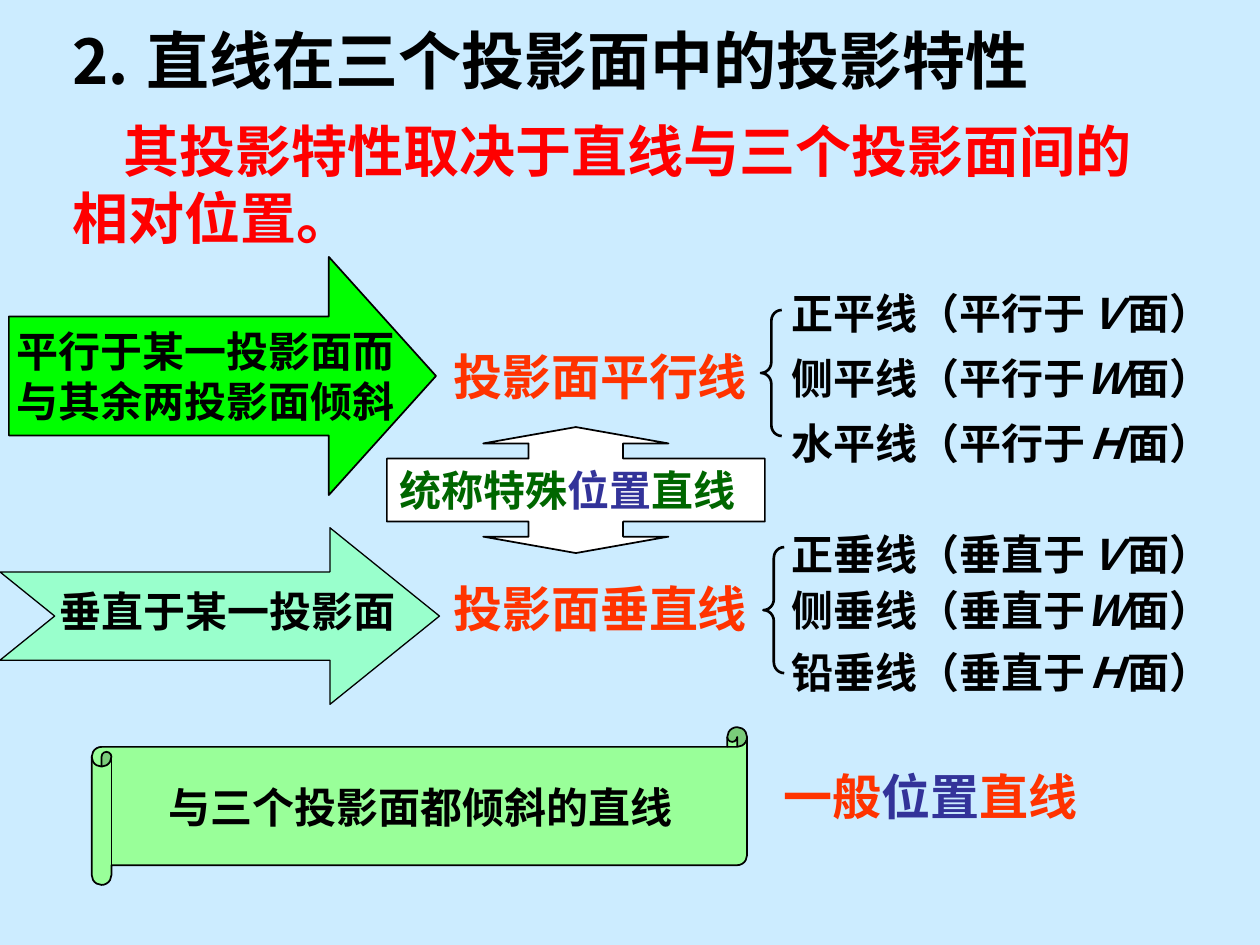
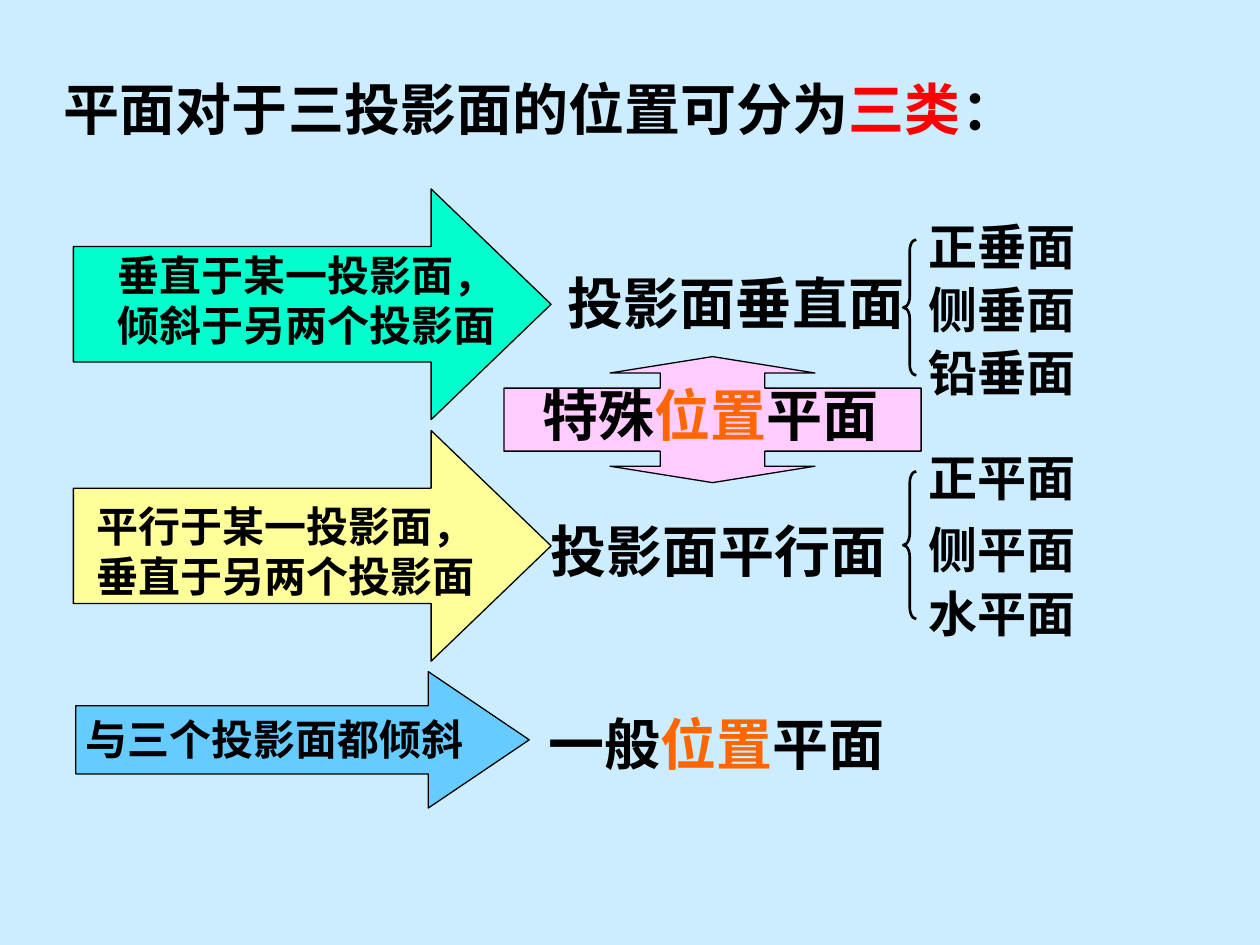
import pptx
import pptx.dml.color
import pptx.enum.shapes
import pptx.enum.text
import pptx.oxml.ns
import pptx.util
from dataclasses import dataclass
from lxml import etree

Cm = pptx.util.Cm
Preset = pptx.enum.shapes.MSO_SHAPE
Align = pptx.enum.text.PP_ALIGN


@dataclass(frozen=True)
class Theme:
    background: str = "CCECFF"
    ink: str = "000000"
    red: str = "FF0000"
    vermilion: str = "FF3300"
    orange: str = "FF6600"
    indigo: str = "333399"
    forest: str = "006600"
    scroll: str = "99FF99"
    white: str = "FFFFFF"
    latin: str = "Times New Roman"
    cjk: str = "Noto Sans CJK SC"
    title: int = 36
    large: int = 32
    medium: int = 28
    body: int = 24


THEME = Theme()


def rgb(value):
    return pptx.dml.color.RGBColor.from_string(value)


def add_slide(deck):
    slide = deck.slides.add_slide(deck.slide_layouts[6])
    slide.background.fill.solid()
    slide.background.fill.fore_color.rgb = rgb(THEME.background)
    return slide


def add_run(paragraph, words, size, colour=THEME.ink, italic=False, font=THEME.latin):
    run = paragraph.add_run()
    run.text = words
    run.font.size = pptx.util.Pt(size)
    run.font.bold = True
    run.font.italic = italic
    run.font.color.rgb = rgb(colour)
    run.font.name = font
    east_asian = etree.SubElement(run.font._element, pptx.oxml.ns.qn("a:ea"))
    east_asian.set("typeface", THEME.cjk)


def fill_frame(frame, size, lines, align=Align.LEFT, font=THEME.latin):
    """Write lines; each is a list of (words, colour, italic) runs."""
    frame.word_wrap = True
    frame.vertical_anchor = pptx.enum.text.MSO_ANCHOR.MIDDLE
    for index, runs in enumerate(lines):
        paragraph = frame.add_paragraph() if index else frame.paragraphs[0]
        paragraph.alignment = align
        for run in runs:
            add_run(paragraph, run[0], size, *run[1:], font=font)


def add_text(slide, left, top, width, size, *lines, rows=None, **style):
    """Add a text box whose height follows from its type size and row count."""
    height = 0.25 + size * 0.0425 * (rows or len(lines))
    box = slide.shapes.add_textbox(Cm(left), Cm(top), Cm(width), Cm(height))
    fill_frame(box.text_frame, size, lines, **style)
    return box


def add_preset(slide, preset, left, top, width, height, adjustments, fill, weight=0.75):
    shape = slide.shapes.add_shape(preset, Cm(left), Cm(top), Cm(width), Cm(height))
    for index, value in enumerate(adjustments):
        shape.adjustments[index] = value
    shape.shadow.inherit = False
    if fill:
        shape.fill.solid()
        shape.fill.fore_color.rgb = rgb(fill)
    else:
        shape.fill.background()
    shape.line.color.rgb = rgb(THEME.ink)
    shape.line.width = pptx.util.Pt(weight)
    return shape


def add_brace(slide, left, top, width, height, curl):
    add_preset(slide, Preset.LEFT_BRACE, left, top, width, height, (curl, 0.5), None, 1.5)


def add_link_callout(slide, left, top, width, shaft, fill, weight):
    """Add the up-down callout that ties two special classes together."""
    return add_preset(slide, Preset.UP_DOWN_ARROW_CALLOUT, left, top, width, 2.54,
                      (shaft, shaft * 0.98, 0.13, 0.5), fill, weight)


def build_lines_slide(deck):
    slide = add_slide(deck)
    add_text(slide, 1.14, 0.3, 20.5, THEME.title,
             [("⒉ 直线在三个投影面中的投影特性",)], font=THEME.cjk)
    lead = add_text(slide, 1.22, 2.21, 22.15, THEME.large,
                    [("其投影特性取决于直线与三个投影面间的相对位置。", THEME.red)], rows=2)
    lead.text_frame.paragraphs[0]._p.get_or_add_pPr().set("indent", str(Cm(1.02)))

    # Conditions
    add_preset(slide, Preset.RIGHT_ARROW, 0.18, 5.18, 8.61, 4.8, (0.5, 0.45), "00FF00", 1)
    add_text(slide, 0, 6.43, 8.28, THEME.body, [("平行于某一投影面而",)],
             [("与其余两投影面倾斜",)], align=Align.CENTER)
    add_preset(slide, Preset.NOTCHED_RIGHT_ARROW, 0, 10.64, 8.86, 3.56, (0.5, 0.62), "99FFCC")
    add_text(slide, 0.92, 11.68, 7.35, THEME.body, [("垂直于某一投影面",)],
             align=Align.CENTER)
    add_preset(slide, Preset.HORIZONTAL_SCROLL, 1.85, 14.66, 13.21, 3.18, (0.125,),
               THEME.scroll, 1)
    add_text(slide, 3.15, 15.62, 10.8, THEME.body, [("与三个投影面都倾斜的直线",)])

    # Classes
    for top, name in ((6.86, "投影面平行线"), (11.54, "投影面垂直线")):
        add_text(slide, 8.89, top, 6.6, THEME.medium, [(name, THEME.vermilion)])
    add_text(slide, 15.55, 15.32, 8, THEME.medium,
             [("一般", THEME.vermilion), ("位置", THEME.indigo), ("直线", THEME.vermilion)])

    # Link between the two special classes
    link = add_link_callout(slide, 7.8, 8.61, 7.62, 0.75, THEME.white, 1)
    fill_frame(link.text_frame, THEME.body,
               [[("统称特殊", THEME.forest), ("位置", THEME.indigo), ("直线", THEME.forest)]])

    # Members of each class
    members = (
        ("平行于", (("正平线", "Ｖ", 5.67), ("侧平线", "Ｗ", 6.98), ("水平线", "Ｈ", 8.28))),
        ("垂直于", (("正垂线", "Ｖ", 10.52), ("侧垂线", "Ｗ", 11.66), ("铅垂线", "Ｈ", 12.9))),
    )
    for relation, rows in members:
        for name, plane, top in rows:
            add_text(slide, 15.7, top, 9.1, THEME.body,
                     [(f"{name}（{relation}",), (plane, THEME.ink, True), ("面）",)])
    add_brace(slide, 15.34, 6.25, 0.42, 2.54, 0.52)
    add_brace(slide, 15.39, 11.03, 0.42, 2.54, 0.52)


def build_planes_slide(deck):
    slide = add_slide(deck)
    add_text(slide, 1.04, 1.37, 20.93, THEME.large,
             [("平面对于三投影面的位置可分为",), ("三类", THEME.red), ("：",)], font=THEME.cjk)

    # Conditions
    for top, fill in ((3.81, "00FFCC"), (8.68, "FFFF99")):
        add_preset(slide, Preset.RIGHT_ARROW, 1.48, top, 9.63, 4.65, (0.5, 0.52), fill)
    add_preset(slide, Preset.RIGHT_ARROW, 1.53, 13.54, 9.14, 2.75, (0.5, 0.74), "66CCFF")
    add_text(slide, 1.91, 4.9, 8.53, THEME.body,
             [("垂直于某一投影面，倾斜于另两个投影面",)], rows=2, align=Align.CENTER)
    add_text(slide, 1.7, 9.96, 9.86, THEME.body,
             [("平行于某一投影面，",)], [("垂直于另两个投影面",)])
    add_text(slide, 1.47, 14.25, 8.41, THEME.body, [("与三个投影面都倾斜",)])

    # Classes
    add_text(slide, 11.2, 5.28, 7.4, THEME.large, [("投影面垂直面",)])
    add_text(slide, 10.85, 10.29, 7.5, THEME.large, [("投影面平行面",)])
    add_text(slide, 10.8, 14.17, 7.8, THEME.large,
             [("一般",), ("位置", THEME.orange), ("平面",)])

    # Link between the two special classes
    add_link_callout(slide, 10.16, 7.19, 8.41, 0.83, "FFCCFF", 0.75)
    add_text(slide, 10.59, 7.54, 7.47, THEME.large,
             [("特殊",), ("位置", THEME.orange), ("平面",)], align=Align.CENTER)

    # Members of each class
    members = (("正垂面", 4.24), ("侧垂面", 5.51), ("铅垂面", 6.78),
               ("正平面", 8.89), ("侧平面", 10.34), ("水平面", 11.63))
    for name, top in members:
        add_text(slide, 18.47, top, 3.7, THEME.medium, [(name,)])
    add_brace(slide, 18.21, 4.83, 0.26, 2.74, 0.85)
    add_brace(slide, 18.21, 9.5, 0.26, 2.98, 0.92)


def main():
    deck = pptx.Presentation()
    deck.slide_width, deck.slide_height = Cm(25.4), Cm(19.05)
    build_lines_slide(deck)
    build_planes_slide(deck)
    deck.save("out.pptx")


if __name__ == "__main__":
    main()
